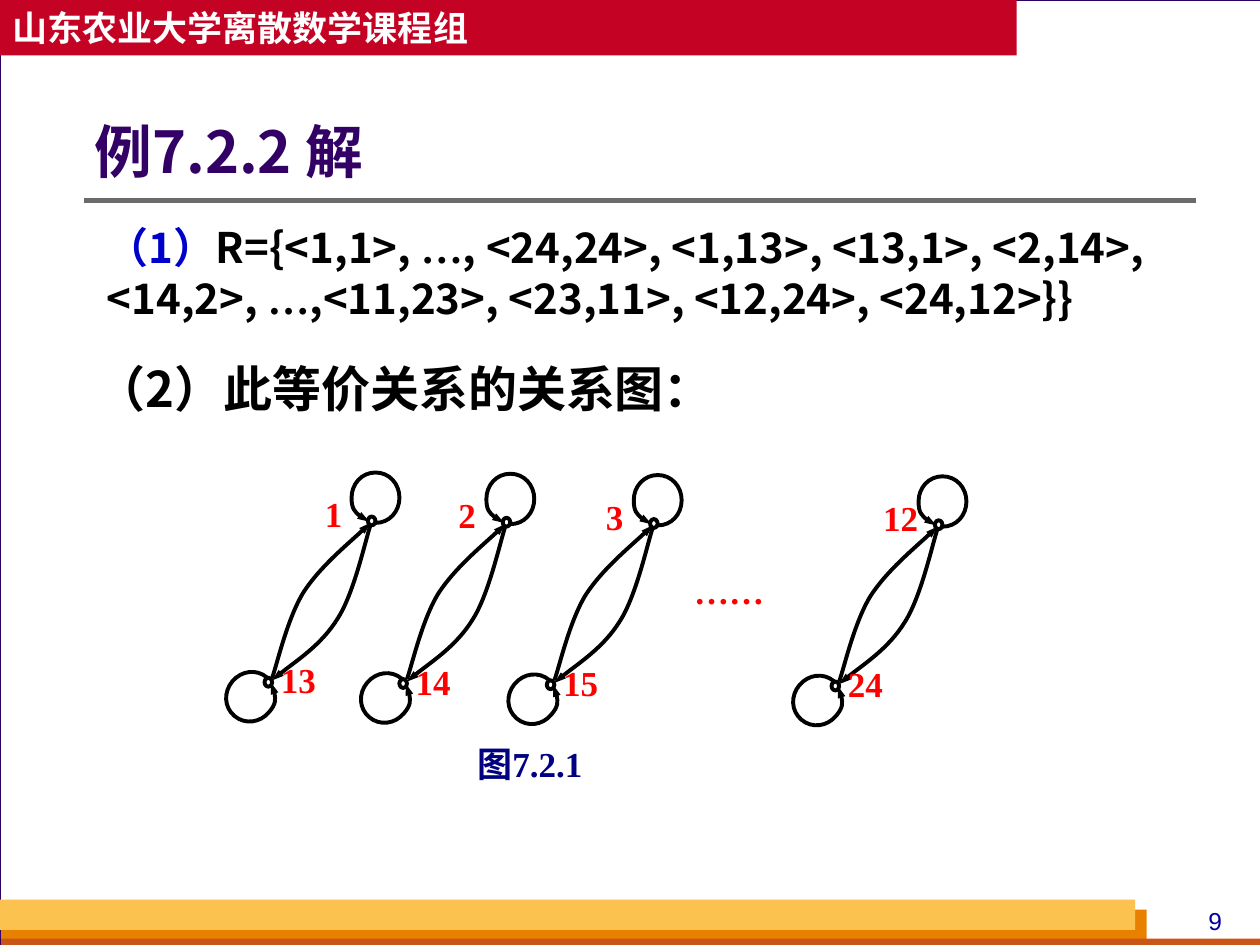
import pptx
import pptx.dml.color
import pptx.enum.shapes
import pptx.enum.text
import pptx.oxml.ns
import pptx.util
from lxml import etree
from pptx.dml.color import RGBColor
from pptx.util import Inches

WHITE = RGBColor(0xFF, 0xFF, 0xFF)
BLACK = RGBColor(0x00, 0x00, 0x00)
GREY = RGBColor(0xD8, 0xDA, 0xDA)
RULE_GREY = RGBColor(0x6B, 0x6B, 0x6B)
PURPLE = RGBColor(0x33, 0x00, 0x66)
CRIMSON = RGBColor(0xC3, 0x02, 0x24)
ORANGE = RGBColor(0xE8, 0x80, 0x00)
RUST = RGBColor(0xC9, 0x56, 0x16)
YELLOW = RGBColor(0xFC, 0xC2, 0x4F)
RED = RGBColor(0xFF, 0x00, 0x00)
BLUE = RGBColor(0x00, 0x00, 0xCC)
NUMBER_BLUE = RGBColor(0x00, 0x00, 0x99)
NAVY = RGBColor(0x00, 0x00, 0x80)

SANS = "Noto Sans CJK SC"
SERIF = "Times New Roman"
ALIGN = pptx.enum.text.PP_ALIGN
ANCHOR = pptx.enum.text.MSO_ANCHOR
SHAPE = pptx.enum.shapes.MSO_SHAPE

# Each curve is a start point followed by control, control, end for every segment.
DOWN_ARC = [(0.02, 0.07), (-0.02, 0.19), (-0.11, 0.61), (-0.24, 0.81),
            (-0.37, 1.02), (-0.65, 1.2), (-0.76, 1.3)]
UP_ARC = [(-0.76, 1.28), (-0.72, 1.17), (-0.64, 0.81), (-0.51, 0.6),
          (-0.38, 0.4), (-0.09, 0.16), (0.02, 0.05)]
LOOP = [(0, -0.2), (-0.11, -0.2), (-0.19, -0.11), (-0.19, 0),
        (-0.19, 0.11), (-0.11, 0.2), (0, 0.2),
        (0.11, 0.2), (0.19, 0.11), (0.19, 0),
        (0.19, -0.09), (0.13, -0.16), (0.05, -0.19)]


def add_child(parent, tag, **attributes):
    return etree.SubElement(parent, pptx.oxml.ns.qn(tag), **attributes)


def add_preset(page, kind, box, fill=None, line=None, weight=0.75):
    shape = page.shapes.add_shape(kind, *map(Inches, box))
    shape.shadow.inherit = False
    if fill is None:
        shape.fill.background()
    else:
        shape.fill.solid()
        shape.fill.fore_color.rgb = fill
    if line is None:
        shape.line.fill.background()
    else:
        shape.line.color.rgb = line
        shape.line.width = pptx.util.Pt(weight)
    return shape


def write_text(shape, spans, size, align=ALIGN.LEFT, anchor=ANCHOR.TOP, wrap=True, bold=True,
               asian_font=None):
    """Fill the shape with one paragraph of (text, font name, colour) spans."""
    frame = shape.text_frame
    frame.word_wrap = wrap
    frame.vertical_anchor = anchor
    para = frame.paragraphs[0]
    para.alignment = align
    for text, font_name, colour in spans:
        span = para.add_run()
        span.text = text
        span.font.size = pptx.util.Pt(size)
        span.font.bold = bold
        span.font.name = font_name
        span.font.color.rgb = colour
        add_child(span.font._element, "a:ea", typeface=asian_font or font_name)


def add_text(page, box, spans, size, **options):
    shape = page.shapes.add_textbox(*map(Inches, box))
    write_text(shape, spans, size, **options)
    return shape


def add_frame(page):
    """Draw the white sheet, the header band, the footer bars and the page number."""
    page.background.fill.solid()
    page.background.fill.fore_color.rgb = GREY
    rectangle = SHAPE.RECTANGLE
    add_preset(page, rectangle, (0, 0, 10.01, 7.5), WHITE, PURPLE)
    add_preset(page, rectangle, (0.01, 7.22, 9.09, 0.28), ORANGE)
    add_preset(page, rectangle, (0.01, 7.45, 10, 0.08), RUST)
    add_preset(page, rectangle, (0, 7.14, 9.01, 0.24), YELLOW)
    add_text(page, (9.33, 7.14, 0.63, 0.34), [("9", "Arial", NUMBER_BLUE)], 14,
             align=ALIGN.CENTER, bold=False)
    header = add_preset(page, rectangle, (0, 0, 8.07, 0.44), CRIMSON)
    write_text(header, [("山东农业大学离散数学课程组", SANS, WHITE)], 20,
               anchor=ANCHOR.MIDDLE, wrap=False)


def add_title(page, box):
    rule = page.shapes.add_connector(pptx.enum.shapes.MSO_CONNECTOR.STRAIGHT,
                                     Inches(0.67), Inches(1.59), Inches(9.49), Inches(1.59))
    rule.line.color.rgb = RULE_GREY
    rule.line.width = pptx.util.Pt(3)
    add_child(rule._element.spPr, "a:effectLst")
    title = add_text(page, box, [("例7.2.2 解", SANS, PURPLE)], 33, anchor=ANCHOR.MIDDLE)
    title.text_frame.margin_left = 0
    title.text_frame.paragraphs[0].line_spacing = 0.9


def add_solution(page, relation_box, heading_box):
    add_text(page, heading_box, [("（2）此等价关系的关系图：", SANS, BLACK)], 28)
    add_text(page, relation_box, [
        ("（1）", SANS, BLUE),
        ("R={<1,1>, ", SANS, BLACK),
        ("…", SERIF, BLACK),
        (", <24,24>, <1,13>, <13,1>, <2,14>, <14,2>, ", SANS, BLACK),
        ("…", SERIF, BLACK),
        (",<11,23>, <23,11>, <12,24>, <24,12>}}", SANS, BLACK),
    ], 24)


def add_arrow(page, left, top, points, rotation=0):
    """Draw a chain of cubic curves that ends in an arrowhead."""
    places = [(Inches(left + x), Inches(top + y)) for x, y in points]
    builder = page.shapes.build_freeform(*places[0])
    builder.add_line_segments(places[1:], close=False)
    arrow = builder.convert_to_shape()
    segments = arrow._element.findall(".//" + pptx.oxml.ns.qn("a:lnTo"))
    for start in range(0, len(segments), 3):
        curve = add_child(segments[start].getparent(), "a:cubicBezTo")
        for segment in segments[start:start + 3]:
            curve.append(segment[0])
            segment.getparent().remove(segment)
    arrow.rotation = rotation
    arrow.shadow.inherit = False
    arrow.fill.background()
    arrow.line.color.rgb = BLACK
    arrow.line.width = pptx.util.Pt(2.25)
    add_child(arrow.line._get_or_add_ln(), "a:tailEnd", type="triangle", w="sm", len="med")


def add_label(page, box, text, colour=RED, **options):
    add_text(page, box, [(text, SERIF, colour)], 20, align=ALIGN.JUSTIFY, **options)


def add_pair(page, left, top, upper, lower, upper_shift):
    """Draw two related elements; left and top place the upper node."""
    for x, y in ((0, 0), (-0.82, 1.28)):
        add_preset(page, SHAPE.OVAL, (left + x, top + y, 0.06, 0.07), line=BLACK, weight=2.25)
    add_arrow(page, left, top, DOWN_ARC)
    add_arrow(page, left, top, UP_ARC)
    add_arrow(page, left + 0.06, top - 0.15, LOOP, 180)
    add_arrow(page, left - 0.93, top + 1.43, LOOP, 40)
    add_label(page, (left + upper_shift, top - 0.24, 0.61, 0.55), upper)
    add_label(page, (left - 0.79, top + 1.08, 0.61, 0.55), lower)


def add_relation_graph(page, left, top):
    pairs = [(0, 1, -0.44), (1.07, 2, -0.45), (2.24, 3, -0.45), (4.5, 12, -0.51)]
    for index, (offset, element, shift) in enumerate(pairs):
        add_pair(page, left + offset, top + 0.01 * index,
                 str(element), str(element + 12), shift)
    add_label(page, (left + 2.49, top + 0.37, 1.02, 0.73), "……")
    add_label(page, (left + 0.77, top + 1.74, 1.63, 0.73), "图7.2.1", NAVY, asian_font=SANS)


def main():
    deck = pptx.Presentation()
    deck.slide_width, deck.slide_height = Inches(10), Inches(7.5)
    page = deck.slides.add_slide(deck.slide_layouts[6])
    add_frame(page)
    add_title(page, (0.75, 0.83, 8.25, 0.79))
    add_solution(page, (0.75, 1.71, 8.86, 0.9), (0.67, 2.8, 7.48, 0.57))
    add_relation_graph(page, 2.92, 4.1)
    deck.save("out.pptx")


if __name__ == "__main__":
    main()
